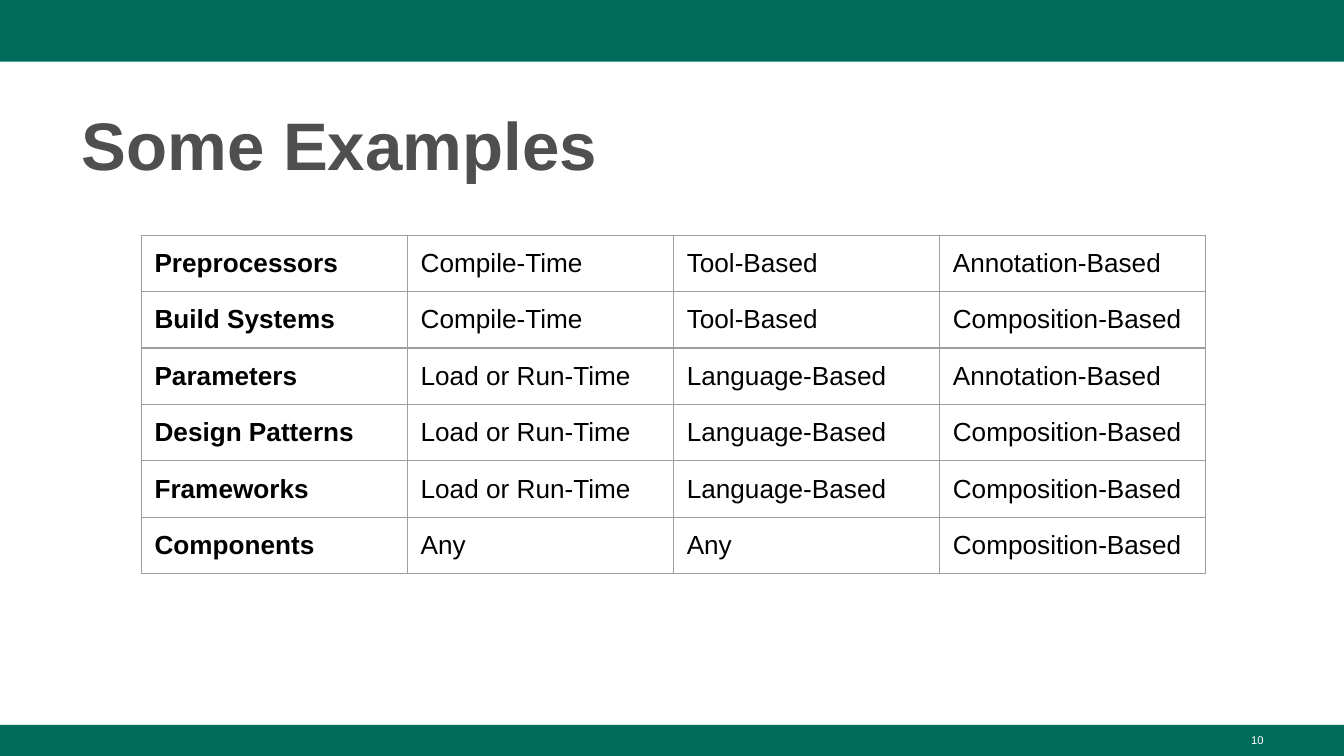
from dataclasses import dataclass

from lxml.etree import SubElement as Sub
from pptx import Presentation
from pptx.dml.color import RGBColor as RGB
from pptx.enum.shapes import MSO_SHAPE as Shape
from pptx.enum.text import MSO_ANCHOR as Anchor, PP_ALIGN as Align
from pptx.oxml.ns import qn
from pptx.util import Inches, Pt


@dataclass(frozen=True)
class Theme:
    font: str = "Arial"
    green: str = "006C5C"
    gray: str = "4F4F4F"
    black: str = "000000"
    white: str = "FFFFFF"
    rule: str = "9E9E9E"
    line: float = 0.75
    head: int = 36
    body: int = 14
    small: int = 6


THEME = Theme()
WIDTH = 10
HEIGHT = WIDTH * 9 / 16
ROWS = [
    ("Preprocessors", "Compile-Time", "Tool-Based", "Annotation-Based"),
    ("Build Systems", "Compile-Time", "Tool-Based", "Composition-Based"),
    ("Parameters", "Load or Run-Time", "Language-Based", "Annotation-Based"),
    ("Design Patterns", "Load or Run-Time", "Language-Based", "Composition-Based"),
    ("Frameworks", "Load or Run-Time", "Language-Based", "Composition-Based"),
    ("Components", "Any", "Any", "Composition-Based"),
]


def write(frame, text, size=THEME.body, color=THEME.black, bold=False,
          align=Align.LEFT, space=None):
    frame.word_wrap = True
    para = frame.paragraphs[0]
    para.alignment = align
    para.line_spacing = space
    run = para.add_run()
    run.text = text
    font = run.font
    font.name = THEME.font
    font.size = Pt(size)
    font.bold = bold
    font.color.rgb = RGB.from_string(color)


def add_text(slide, box, text, **style):
    frame = slide.shapes.add_textbox(*map(Inches, box)).text_frame
    frame.margin_left = frame.margin_right = Inches(0.1)
    frame.margin_top = frame.margin_bottom = Inches(0.05)
    frame.vertical_anchor = Anchor.TOP
    write(frame, text, **style)


def add_band(slide, box):
    band = slide.shapes.add_shape(Shape.RECTANGLE, *map(Inches, box))
    band.shadow.inherit = False
    band.fill.solid()
    band.fill.fore_color.rgb = RGB.from_string(THEME.green)
    band.line.fill.background()


def add_foot(slide, box, number):
    left, top, width, height = box
    add_band(slide, box)
    add_text(slide, (left + width - 2.83, top + 0.01, 2.33, height), number,
             size=THEME.small, color=THEME.white, align=Align.RIGHT)


def add_edges(cell):
    props = cell._tc.get_or_add_tcPr()
    for side in ("lnL", "lnR", "lnT", "lnB"):
        edge = Sub(props, qn(f"a:{side}"), w=str(Pt(THEME.line)))
        fill = Sub(edge, qn("a:solidFill"))
        Sub(fill, qn("a:srgbClr"), val=THEME.rule)


def add_grid(slide, box, rows):
    left, top, width, height = map(Inches, box)
    table = slide.shapes.add_table(len(rows), len(rows[0]),
                                   left, top, width, height).table
    table.first_row = table.horz_banding = False
    for r, row in enumerate(rows):
        for c, text in enumerate(row):
            cell = table.cell(r, c)
            cell.margin_left = cell.margin_right = Inches(0.1)
            cell.margin_top, cell.margin_bottom = Inches(0.1), Inches(0.08)
            add_edges(cell)
            cell.fill.background()
            write(cell.text_frame, text, bold=c == 0)


def main():
    deck = Presentation()
    deck.slide_width, deck.slide_height = Inches(WIDTH), Inches(HEIGHT)
    slide = deck.slides.add_slide(deck.slide_layouts[6])
    add_band(slide, (0, 0, WIDTH, 0.46))
    add_foot(slide, (0, HEIGHT - 0.23, WIDTH, 0.23), "10")
    add_text(slide, (0.51, 0.67, 8.99, 0.73), "Some Examples",
             size=THEME.head, color=THEME.gray, bold=True, space=1.08)
    add_grid(slide, (1.05, 1.75, 4 * 1.98, 6 * 0.42), ROWS)
    deck.save("out.pptx")


if __name__ == "__main__":
    main()
